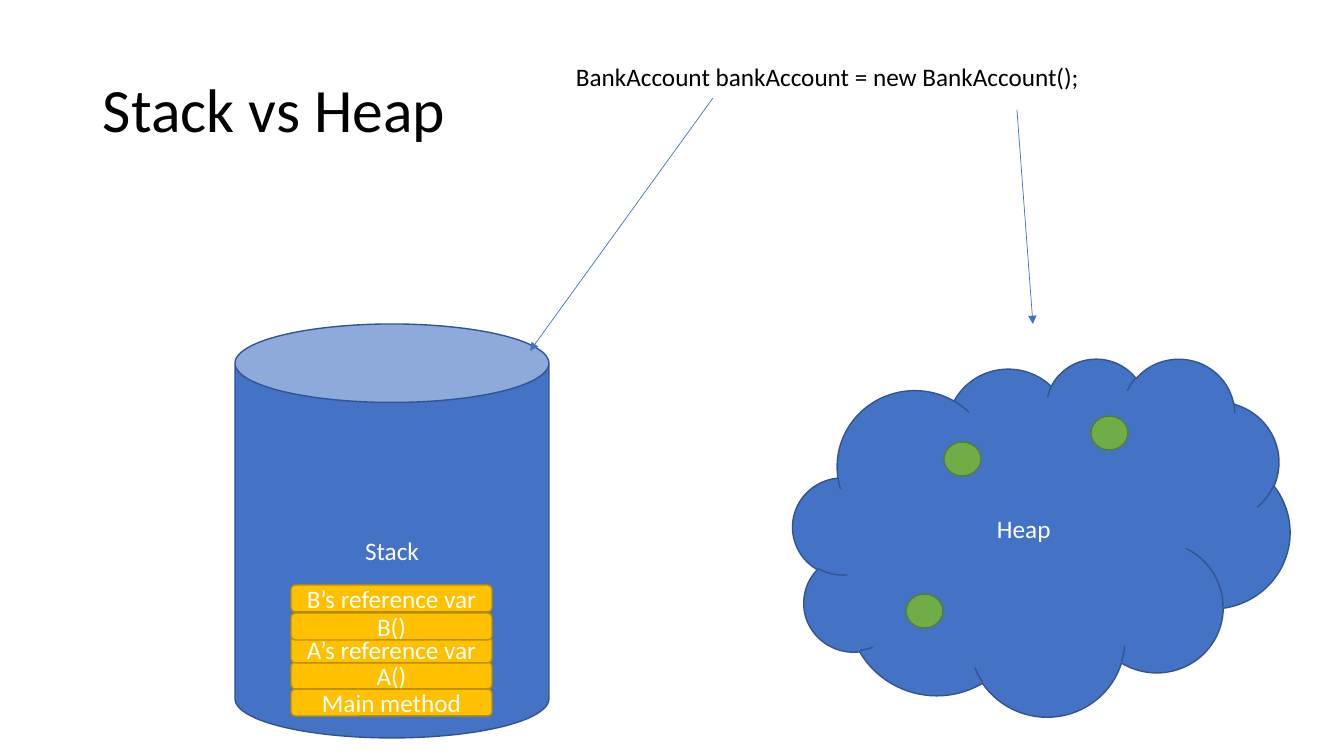
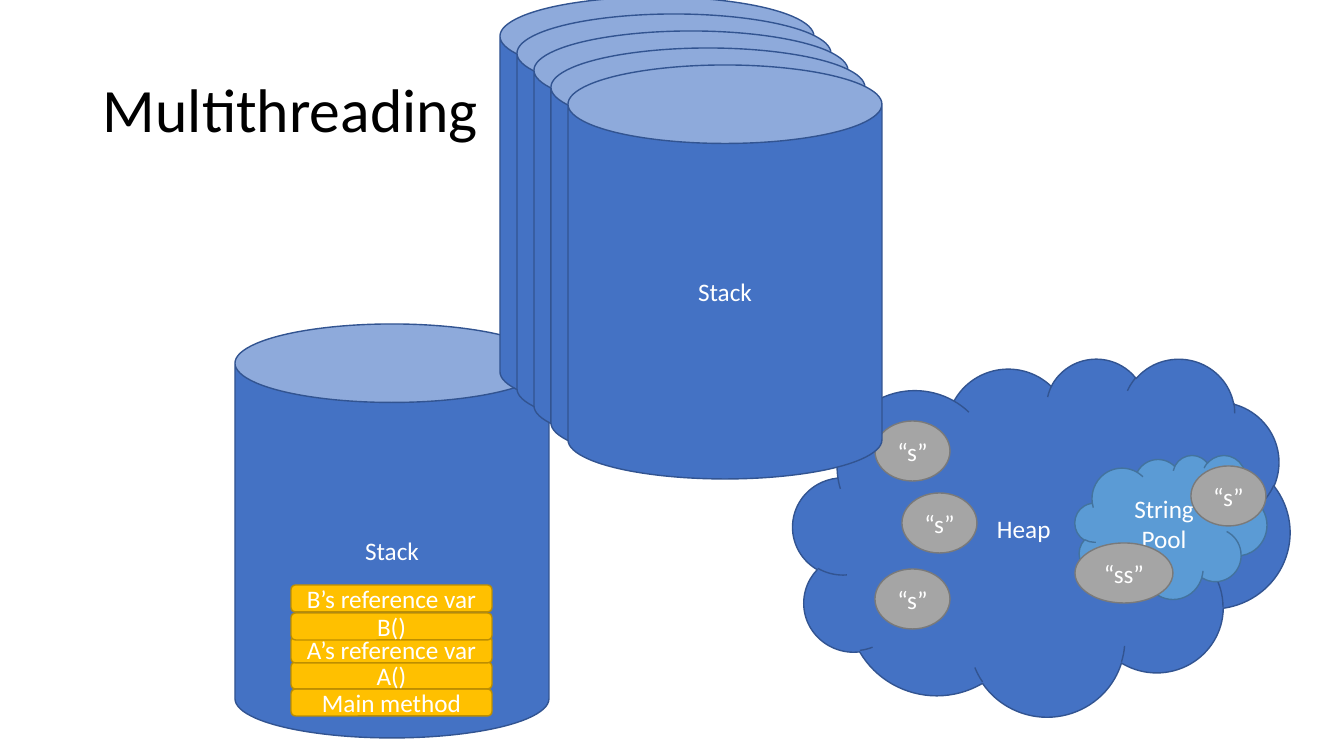
from lxml import etree
from pptx import Presentation
from pptx.dml.color import RGBColor
from pptx.enum import shapes, text
from pptx.oxml import ns
from pptx.util import Emu, Pt

SCALE = 914400 / 100.8
COLORS = {
    "memory": "4472C4", "memory_edge": "325491",
    "frame": "FFC000", "frame_edge": "BD8E00",
    "object": "70AD47", "object_edge": "538035",
    "pool": "5B9BD5", "pool_edge": "43739E",
    "string": "A5A5A5", "string_edge": "7A7A7A",
    "ink": "000000", "label": "FFFFFF",
}
FORMATS = {
    "title": {"size": Pt(44), "name": "Calibri"},
    "body": {"size": Pt(18), "name": "Calibri"},
}
KIND = shapes.MSO_SHAPE
STACK_BOX = (235, 324, 314, 414)
HEAP_BOX = (793, 358, 497, 358)
FRAMES = [("Main method", 365), ("A()", 338), ("A’s reference var", 312),
          ("B()", 289), ("B’s reference var", 261)]


def px(*lengths):
    return [Emu(round(length * SCALE)) for length in lengths]


def color(name):
    return RGBColor.from_string(COLORS[name])


def write(holder, words, style, ink, align, anchor):
    frame = holder.text_frame
    for key, value in {"word_wrap": True, "vertical_anchor": anchor}.items():
        setattr(frame, key, value)
    paragraph = frame.paragraphs[0]
    paragraph.alignment = align
    run = paragraph.add_run()
    run.text = words
    for key, value in FORMATS[style].items():
        setattr(run.font, key, value)
    run.font.color.rgb = color(ink)
    return paragraph


def add_part(slide, kind, box, role, words=""):
    part = slide.shapes.add_shape(kind, *px(*box))
    part.shadow.inherit = False
    part.fill.solid()
    part.fill.fore_color.rgb = color(role)
    part.line.color.rgb = color(role + "_edge")
    part.line.width = Pt(1)
    if words:
        write(part, words, "body", "label", text.PP_ALIGN.CENTER, text.MSO_ANCHOR.MIDDLE)


def add_words(slide, box, words, style, anchor):
    holder = slide.shapes.add_textbox(*px(*box))
    return write(holder, words, style, "ink", text.PP_ALIGN.LEFT, anchor)


def add_title(slide, words):
    title = add_words(slide, (93, 40, 1159, 146), words, "title", text.MSO_ANCHOR.MIDDLE)
    title.line_spacing = 0.9


def add_arrow(slide, start, end):
    arrow = slide.shapes.add_connector(shapes.MSO_CONNECTOR.STRAIGHT, *px(*start, *end))
    arrow.line.color.rgb = color("memory")
    arrow.line.width = Pt(0.5)
    etree.SubElement(arrow.line._get_or_add_ln(), ns.qn("a:tailEnd"), type="triangle")
    etree.SubElement(arrow._element.spPr, ns.qn("a:effectLst"))


def add_stack(slide, box):
    left, top, width, height = box
    add_part(slide, KIND.CAN, box, "memory", "Stack")
    for call, drop in FRAMES:
        add_part(slide, KIND.ROUNDED_RECTANGLE, (left + 56, top + drop, 201, 27), "frame", call)


def add_heap(slide, box):
    add_part(slide, KIND.CLOUD, box, "memory", "Heap")


def add_objects(slide, box):
    left, top, width, height = box
    for across, down in [(151, 84), (113, 236), (298, 58)]:
        add_part(slide, KIND.OVAL, (left + across, top + down, 37, 34), "object")


def add_strings(slide, box):
    left, top, width, height = box
    add_part(slide, KIND.CLOUD, (left + 282, top + 97, 192, 144), "pool", "String Pool")
    for literal, across, down, breadth in [("“s”", 398, 108, 75), ("“ss”", 282, 185, 98),
                                           ("“s”", 82, 63, 75), ("“s”", 109, 135, 75),
                                           ("“s”", 82, 211, 75)]:
        add_part(slide, KIND.OVAL, (left + across, top + down, breadth, 60), "string", literal)


def add_threads(slide, box, count=5, step=17):
    left, top, width, height = box
    for thread in range(count):
        shift = thread * step
        label = "Stack" if thread == count - 1 else ""
        add_part(slide, KIND.CAN, (left + shift, top + shift, width, height), "memory", label)


def add_memory_slide(deck, title):
    slide = deck.slides.add_slide(deck.slide_layouts[6])
    add_title(slide, title)
    add_heap(slide, HEAP_BOX)
    add_stack(slide, STACK_BOX)
    return slide


def build_stack_vs_heap(deck):
    slide = add_memory_slide(deck, "Stack vs Heap")
    add_words(slide, (566, 56, 664, 40), "BankAccount bankAccount = new BankAccount();",
              "body", text.MSO_ANCHOR.TOP)
    add_arrow(slide, (713, 98), (530, 351))
    add_arrow(slide, (1017, 110), (1033, 324))
    add_objects(slide, HEAP_BOX)


def build_multithreading(deck):
    slide = add_memory_slide(deck, "Multithreading")
    add_strings(slide, HEAP_BOX)
    add_threads(slide, (500, -3, *STACK_BOX[2:]))


deck = Presentation()
deck.slide_width, deck.slide_height = px(1344, 756)
build_stack_vs_heap(deck)
build_multithreading(deck)
deck.save("out.pptx")
